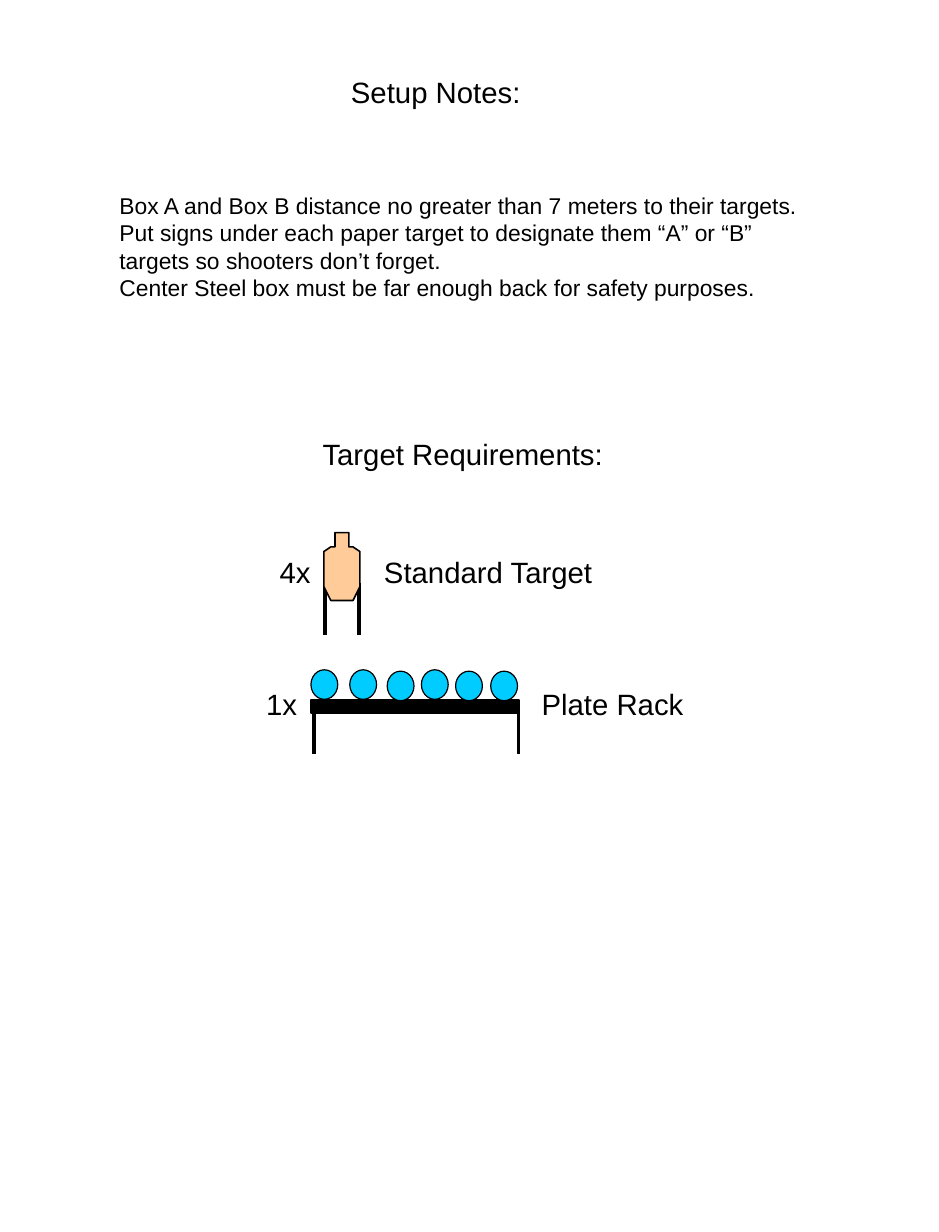
from typing import NamedTuple

from lxml.etree import SubElement
from pptx import Presentation
from pptx.dml.color import RGBColor
from pptx.enum.shapes import MSO_CONNECTOR as Connector, MSO_SHAPE as Preset
from pptx.enum.text import MSO_ANCHOR as Anchor, MSO_AUTO_SIZE as AutoSize, PP_ALIGN as Align
from pptx.oxml.ns import qn
from pptx.util import Cm, Pt

BLACK, TAN, CYAN = "000000", "FFCC99", "00CCFF"


class Box(NamedTuple):
    left: float
    top: float
    width: float
    height: float


class Post(NamedTuple):
    x: float
    top: float
    bottom: float
    weight: float


class Requirement(NamedTuple):
    count: str
    target: str
    count_left: float
    target_left: float
    target_width: float
    top: float


POSTS = [
    Post(7.04, 12.62, 13.74, 2.25),
    Post(7.77, 12.62, 13.74, 2.25),
    Post(6.79, 15.44, 16.33, 2.5),
    Post(11.22, 15.24, 16.33, 2),
]
PLATES = [(6.73, 14.5), (7.57, 14.5), (8.38, 14.53), (9.12, 14.5), (9.86, 14.53), (10.62, 14.53)]
REQUIREMENTS = [
    Requirement("4x", "Standard Target", 5.8, 8.06, 5.1, 11.87),
    Requirement("1x", "Plate Rack", 5.51, 11.47, 3.67, 14.73),
]
NOTES = [
    "Box A and Box B distance no greater than 7 meters to their targets. "
    "Put signs under each paper target to designate them “A” or “B” "
    "targets so shooters don’t forget.",
    "Center Steel box must be far enough back for safety purposes.",
]


def color(hex_value: str) -> RGBColor:
    """Turn a hex string into a colour."""
    return RGBColor.from_string(hex_value)


def place(shape, box: Box):
    """Move and size a shape in centimetres."""
    shape.left, shape.top, shape.width, shape.height = map(Cm, box)
    return shape


def write(shape, *paragraphs: str, size: float = 18, wrap: bool = False) -> None:
    """Fill a shape with plain left-aligned paragraphs."""
    frame = shape.text_frame
    frame.word_wrap = wrap
    frame.auto_size = AutoSize.NONE
    frame.vertical_anchor = Anchor.TOP
    for index, text in enumerate(paragraphs):
        paragraph = frame.add_paragraph() if index else frame.paragraphs[0]
        paragraph.alignment = Align.LEFT
        paragraph.space_before = Pt(0)
        properties = paragraph._p.get_or_add_pPr()
        properties.set("marL", "0")
        properties.set("indent", "0")
        SubElement(properties, qn("a:buNone"))
        run = paragraph.add_run()
        run.text = text
        run.font.name = "Arial"
        run.font.size = Pt(size)
        run.font.color.rgb = color(BLACK)


def add_label(shapes, text: str, box: Box) -> None:
    """Add a one-line text box."""
    write(shapes.add_textbox(*map(Cm, box)), text)


def paint(shape, fill: str, weight: float) -> None:
    """Give a shape a flat fill and a black outline."""
    shape.shadow.inherit = False
    shape.fill.solid()
    shape.fill.fore_color.rgb = color(fill)
    shape.line.color.rgb = color(BLACK)
    shape.line.width = Pt(weight)


def draw_post(shapes, post: Post) -> None:
    """Draw one vertical support."""
    support = shapes.add_connector(
        Connector.STRAIGHT, Cm(post.x), Cm(post.top), Cm(post.x), Cm(post.bottom)
    )
    support.line.color.rgb = color(BLACK)
    support.line.width = Pt(post.weight)
    SubElement(support._element.spPr, qn("a:effectLst"))


def draw_paper_target(shapes, center: float) -> None:
    """Draw the silhouette by mirroring its right half."""
    half = [(0.15, 11.53), (0.15, 11.84), (0.24, 11.84), (0.39, 11.94), (0.39, 12.7), (0.24, 13)]
    right = [(Cm(center + offset), Cm(y)) for offset, y in half]
    left = [(Cm(center - offset), Cm(y)) for offset, y in reversed(half)]
    outline = shapes.build_freeform(*right[0])
    outline.add_line_segments(right[1:] + left, close=True)
    paint(outline.convert_to_shape(), TAN, 1)


def draw_preset(shapes, preset: Preset, box: Box, fill: str, weight: float) -> None:
    """Draw a filled preset shape."""
    paint(shapes.add_shape(preset, *map(Cm, box)), fill, weight)


def draw_requirement(shapes, item: Requirement) -> None:
    """Write the count and the target name on either side of the drawing."""
    add_label(shapes, item.count, Box(item.count_left, item.top, 1.2, 1.02))
    add_label(shapes, item.target, Box(item.target_left, item.top, item.target_width, 1.02))


def main() -> None:
    """Build the setup notes page."""
    deck = Presentation()
    deck.slide_width, deck.slide_height = Cm(20.32), Cm(26.67)
    slide = deck.slides.add_slide(deck.slide_layouts[1])
    shapes = slide.shapes

    write(place(shapes.title, Box(7.34, 1.47, 4.22, 1.02)), "Setup Notes:")
    write(place(slide.placeholders[1], Box(2.33, 4.02, 15.67, 2.64)), *NOTES, size=14, wrap=True)
    add_label(shapes, "Target Requirements:", Box(6.73, 9.32, 6.86, 1.02))

    for post in POSTS:
        draw_post(shapes, post)
    draw_paper_target(shapes, 7.4)
    draw_preset(shapes, Preset.RECTANGLE, Box(6.73, 15.16, 4.5, 0.28), BLACK, 1.25)
    for left, top in PLATES:
        draw_preset(shapes, Preset.OVAL, Box(left, top, 0.58, 0.64), CYAN, 0.75)
    for item in REQUIREMENTS:
        draw_requirement(shapes, item)

    deck.save("out.pptx")


if __name__ == "__main__":
    main()
